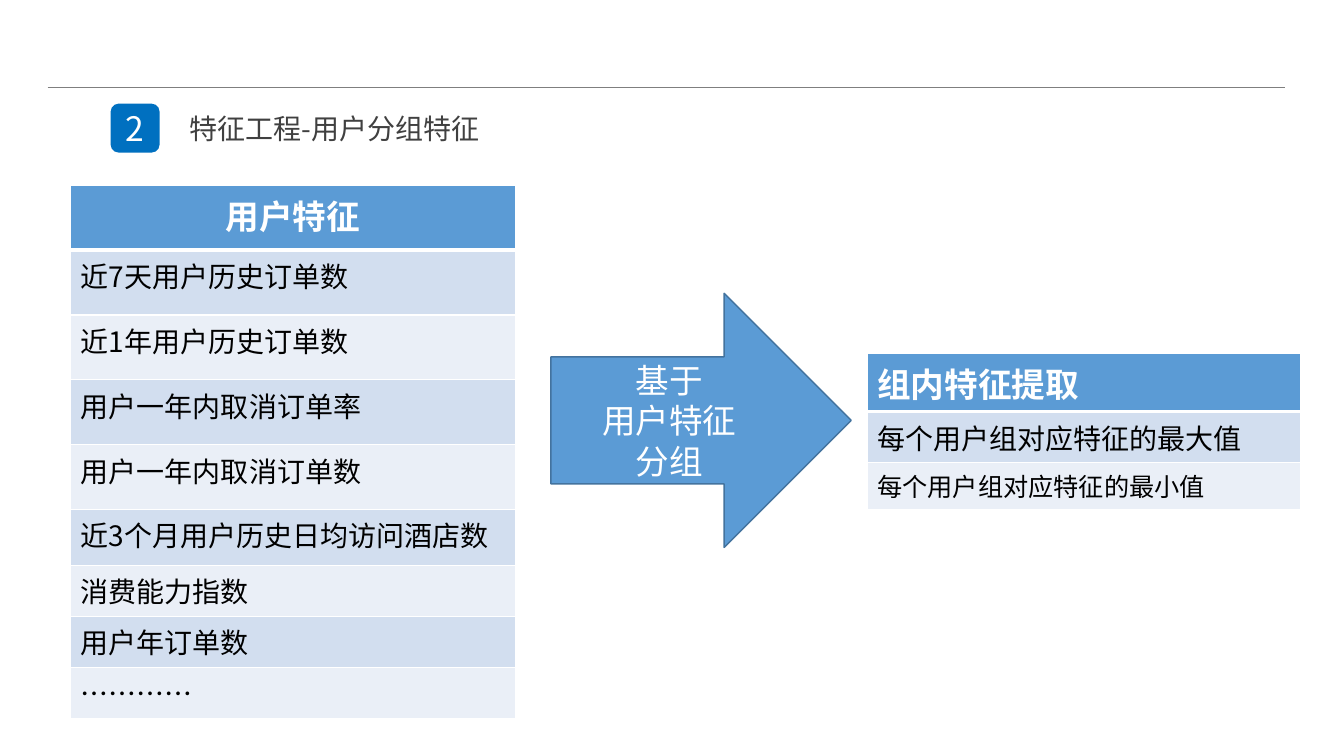
"""Build the slide on user grouping features."""
from lxml.etree import SubElement
from pptx import Presentation
from pptx.dml.color import RGBColor
from pptx.enum.shapes import MSO_CONNECTOR, MSO_SHAPE
from pptx.enum.text import MSO_ANCHOR, PP_ALIGN
from pptx.oxml import parse_xml
from pptx.oxml.ns import nsdecls, qn
from pptx.util import Pt

COLORS = {"blue": "5B9BD5", "outline": "43739E", "badge": "0070C0", "rule": "7F7F7F",
          "title": "404040", "white": "FFFFFF", "black": "000000",
          "band_dark": "D2DEEF", "band_light": "EAEFF7"}
SC, JP = "Noto Sans CJK SC", "Noto Sans CJK JP"


def write(frame, text, size, color, face=SC, bold=False, align=PP_ALIGN.LEFT):
    frame.text = text
    frame.word_wrap = True
    for paragraph in frame.paragraphs:
        paragraph.alignment = align
        for run in paragraph.runs:
            run.font.size = Pt(size)
            run.font.bold = bold
            run.font.name = face
            run.font.color.rgb = RGBColor.from_string(COLORS[color])
            SubElement(run.font._element, qn("a:ea")).set("typeface", face)


def add_feature_table(left, top, width, rows, header_align):
    table = slide.shapes.add_table(len(rows), 1, Pt(left), Pt(top), Pt(width),
                                   Pt(sum(height for _, _, height in rows))).table
    for index, (text, size, height) in enumerate(rows):
        table.rows[index].height = Pt(height)
        cell = table.cell(index, 0)
        if index == 0:
            fill = "blue"
            write(cell.text_frame, text, size, "white", bold=True, align=header_align)
        else:
            fill = "band_dark" if index % 2 else "band_light"
            write(cell.text_frame, text, size, "black", face=JP)
            cell.margin_right = Pt(2)
        cell.fill.solid()
        cell.fill.fore_color.rgb = RGBColor.from_string(COLORS[fill])
        for position, side in enumerate("LRTB"):
            thick = (index, side) in ((0, "B"), (1, "T"))
            border = parse_xml(
                f'<a:ln{side} {nsdecls("a")} w="{Pt(3 if thick else 1)}"><a:solidFill>'
                f'<a:srgbClr val="{COLORS["white"]}"/></a:solidFill></a:ln{side}>')
            cell._tc.tcPr.insert(position, border)


prs = Presentation()
prs.slide_width, prs.slide_height = Pt(960), Pt(540)
slide = prs.slides.add_slide(prs.slide_layouts[6])

rule = slide.shapes.add_connector(MSO_CONNECTOR.STRAIGHT, Pt(34), Pt(62.5), Pt(918), Pt(62.5))
rule.line.color.rgb = RGBColor.from_string(COLORS["rule"])
rule.line.width = Pt(0.5)
SubElement(rule._element.spPr, qn("a:effectLst"))

badge = slide.shapes.add_shape(MSO_SHAPE.ROUNDED_RECTANGLE, Pt(79), Pt(74), Pt(35), Pt(35))
badge.shadow.inherit = False
badge.fill.solid()
badge.fill.fore_color.rgb = RGBColor.from_string(COLORS["badge"])
badge.line.fill.background()
badge.text_frame.vertical_anchor = MSO_ANCHOR.MIDDLE
write(badge.text_frame, "2", 24, "white", align=PP_ALIGN.CENTER)

title = slide.shapes.add_textbox(Pt(128), Pt(72), Pt(340), Pt(39))
title.text_frame.vertical_anchor = MSO_ANCHOR.MIDDLE
write(title.text_frame, "特征工程-用户分组特征", 20, "title")

user_features = [
    ("用户特征", 24, 46.25),
    ("近7天用户历史订单数", 20, 46.25),
    ("近1年用户历史订单数", 20, 46.25),
    ("用户一年内取消订单率", 20, 46.25),
    ("用户一年内取消订单数", 20, 46.25),
    ("近3个月用户历史日均访问酒店数", 20, 40),
    ("消费能力指数", 20, 36.5),
    ("用户年订单数", 20, 36.5),
    ("…………", 20, 36.5),
]
add_feature_table(50.5, 132.5, 317.5, user_features, PP_ALIGN.CENTER)

grouping = slide.shapes.add_shape(MSO_SHAPE.RIGHT_ARROW, Pt(393.5), Pt(209.5), Pt(214.5), Pt(181.5))
grouping.shadow.inherit = False
grouping.fill.solid()
grouping.fill.fore_color.rgb = RGBColor.from_string(COLORS["blue"])
grouping.line.color.rgb = RGBColor.from_string(COLORS["outline"])
grouping.line.width = Pt(1)
grouping.text_frame.vertical_anchor = MSO_ANCHOR.MIDDLE
write(grouping.text_frame, "基于\n用户特征\n分组", 24, "white", align=PP_ALIGN.CENTER)

group_features = [
    ("组内特征提取", 24, 41.5),
    ("每个用户组对应特征的最大值", 20, 36.5),
    ("每个用户组对应特征的最小值", 18, 33.5),
]
add_feature_table(619.5, 252.5, 309.5, group_features, PP_ALIGN.LEFT)

prs.save("out.pptx")
